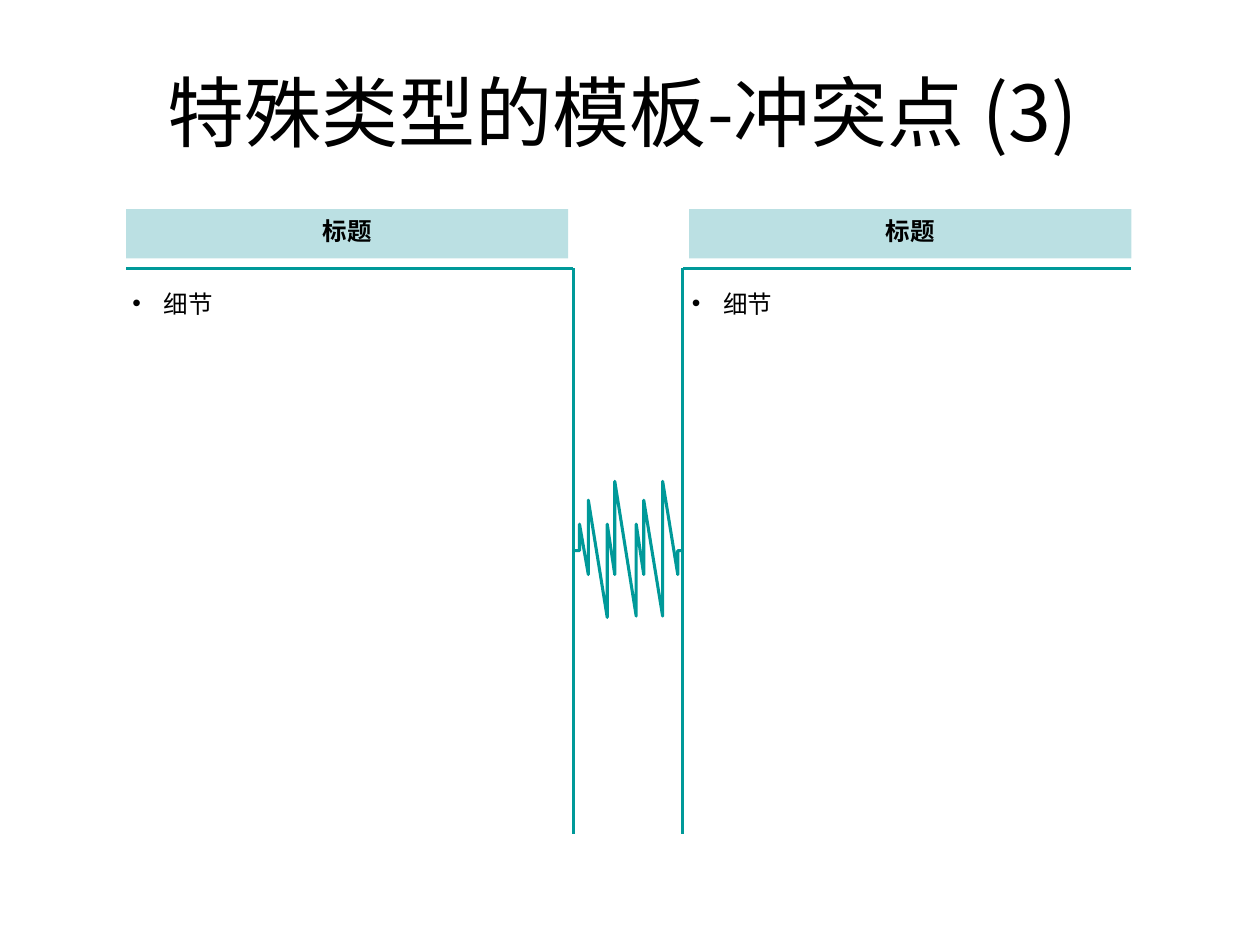
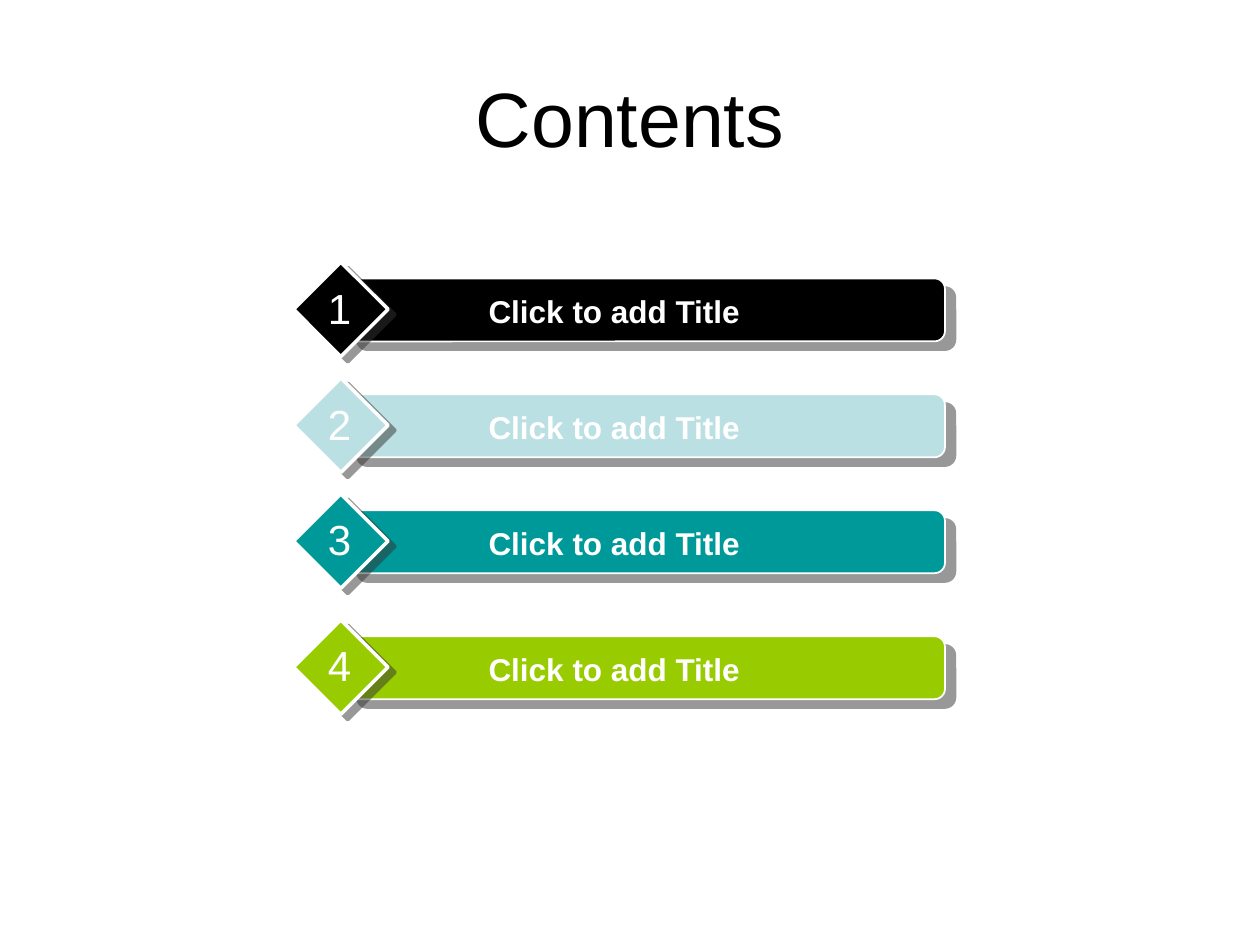
from dataclasses import dataclass

from lxml import etree
from pptx import Presentation
from pptx.dml.color import RGBColor
from pptx.enum.shapes import MSO_CONNECTOR as Connector, MSO_SHAPE as Preset
from pptx.enum.text import MSO_ANCHOR as Anchor, MSO_AUTO_SIZE as AutoSize, PP_ALIGN as Align
from pptx.oxml.ns import qn
from pptx.util import Inches, Pt


@dataclass(frozen=True)
class Theme:
    black: str = "000000"
    white: str = "FFFFFF"
    pale: str = "BBE0E3"
    teal: str = "009999"
    lime: str = "99CC00"
    shadow: str = "333333"
    sans: str = "Arial"
    serif: str = "Times New Roman"
    chinese: str = "Noto Sans CJK SC"
    title_size: int = 44
    number_size: int = 24
    label_size: int = 18
    body_size: int = 14
    rule_width: float = 1.75


THEME = Theme()


def place(*lengths):
    return [Inches(length) for length in lengths]


class SlideBuilder:
    """Holds the theme, the deck and the slide being filled."""

    def __init__(self, theme):
        self.theme = theme
        self.deck = Presentation()
        self.deck.slide_width, self.deck.slide_height = place(10, 7.5)
        self.page = self.target = None

    def start_page(self, title, at, font):
        self.page = self.deck.slides.add_slide(self.deck.slide_layouts[5])
        self.target = self.page.shapes
        box = self.page.shapes.title
        box.left, box.top, box.width, box.height = place(*at)
        self.label(box, title, self.theme.title_size, font=font,
                   frame={"vertical_anchor": Anchor.MIDDLE})

    def start_group(self):
        self.target = self.page.shapes.add_group_shape().shapes

    def end_group(self):
        self.target = self.page.shapes

    def label(self, box, text, size, color=None, font=None, bold=False,
              frame=None, para_format=None, bullet=False):
        text_frame = box.text_frame
        settings = {"word_wrap": True, "auto_size": AutoSize.NONE, **(frame or {})}
        for name, value in settings.items():
            setattr(text_frame, name, value)
        para = text_frame.paragraphs[0]
        for name, value in {"alignment": Align.CENTER, **(para_format or {})}.items():
            setattr(para, name, value)
        if bullet:
            self.add_bullet(para)
        span = para.add_run()
        span.text = text
        formats = {"size": Pt(size), "name": font or self.theme.sans, "bold": bold}
        for name, value in formats.items():
            setattr(span.font, name, value)
        span.font.color.rgb = RGBColor.from_string(color or self.theme.black)
        east_asian = etree.SubElement(span._r.get_or_add_rPr(), qn("a:ea"))
        east_asian.set("typeface", self.theme.chinese)

    def add_bullet(self, para):
        properties = para._p.get_or_add_pPr()
        properties.set("marL", str(Inches(0.25)))
        properties.set("indent", str(-Inches(0.25)))
        etree.SubElement(properties, qn("a:buFont")).set("typeface", self.theme.sans)
        etree.SubElement(properties, qn("a:buChar")).set("char", "•")

    def text(self, at, text, size, **formats):
        box = self.target.add_textbox(*place(*at))
        self.label(box, text, size, **formats)

    def shape(self, preset, at, fill, line_width=0, shadow=None):
        box = self.target.add_shape(preset, *place(*at))
        box.shadow.inherit = False
        box.fill.solid()
        box.fill.fore_color.rgb = RGBColor.from_string(fill)
        if line_width:
            self.stroke(box, self.theme.white, line_width)
        else:
            box.line.fill.background()
        if shadow:
            self.drop_shadow(box, *shadow)
        return box

    def stroke(self, item, color, width):
        item.line.color.rgb = RGBColor.from_string(color)
        item.line.width = Pt(width)

    def drop_shadow(self, box, distance, angle):
        effects = box._element.spPr.find(qn("a:effectLst"))
        outer = etree.SubElement(effects, qn("a:outerShdw"))
        values = {"blurRad": 0, "dist": Pt(distance), "dir": angle * 60000,
                  "algn": "ctr", "rotWithShape": 0}
        for name, value in values.items():
            outer.set(name, str(value))
        color = etree.SubElement(outer, qn("a:srgbClr"))
        color.set("val", self.theme.shadow)
        etree.SubElement(color, qn("a:alpha")).set("val", "50000")

    def rule(self, *ends):
        line = self.target.add_connector(Connector.STRAIGHT, *place(*ends))
        self.stroke(line, self.theme.teal, self.theme.rule_width)
        etree.SubElement(line._element.spPr, qn("a:effectLst"))

    def outline(self, points):
        start, *others = [place(*point) for point in points]
        builder = self.target.build_freeform(*start)
        builder.add_line_segments(others, close=False)
        jagged_line = builder.convert_to_shape()
        jagged_line.shadow.inherit = False
        jagged_line.fill.background()
        self.stroke(jagged_line, self.theme.teal, self.theme.rule_width)


def build_conflict(slides):
    theme = slides.theme
    slides.start_page("特殊类型的模板-冲突点 (3)", (0.63, 0.5, 8.62, 0.75), theme.chinese)
    top, bottom = 2.13, 6.62
    left_wall, right_wall = 4.55, 5.42

    # Walls with the jagged conflict line between them
    slides.start_group()
    for wall in (left_wall, right_wall):
        slides.rule(wall, top, wall, bottom)
    middle = 4.37
    # Each tooth rises straight up at x to its peak, then slopes to the next foot
    teeth = [(4.6, 4.16, 4.56), (4.67, 3.97, 4.9), (4.82, 4.16, 4.56), (4.88, 3.82, 4.89),
             (5.05, 4.16, 4.56), (5.11, 3.97, 4.89), (5.26, 3.82, 4.56)]
    feet = [x for x, _, _ in teeth[1:]] + [5.38]
    zigzag = [(4.56, middle), (teeth[0][0], middle)]
    for (x, peak, foot), next_x in zip(teeth, feet):
        zigzag += [(x, peak), (next_x, foot)]
    zigzag += [(feet[-1], middle), (right_wall, middle)]
    slides.outline(zigzag)
    slides.end_group()

    # One headed column on each side
    no_margins = {f"margin_{side}": 0 for side in ("left", "top", "right", "bottom")}
    columns = [(1, 1, left_wall, 1.05, 3.51), (5.47, right_wall, 8.98, 5.49, 3.48)]
    for header_left, rule_start, rule_end, detail_left, detail_width in columns:
        slides.rule(rule_start, top, rule_end, top)
        slides.text((detail_left, 2.29, detail_width, 0.23), "细节", theme.body_size,
                    font=theme.serif, bullet=True, frame=no_margins,
                    para_format={"alignment": Align.LEFT})
        header = slides.shape(Preset.RECTANGLE, (header_left, 1.66, 3.51, 0.39), theme.pale)
        slides.label(header, "标题", theme.body_size, bold=True,
                     frame={"word_wrap": False, "vertical_anchor": Anchor.MIDDLE},
                     para_format={"line_spacing": 0.8})


def build_contents(slides):
    theme = slides.theme
    slides.start_page("Contents", (0.5, 0.3, 9, 1.25), theme.sans)

    # Numbered bars
    entries = [(2.08, theme.black), (3, theme.pale), (3.92, theme.teal), (4.92, theme.lime)]
    for number, (top, color) in enumerate(entries, start=1):
        slides.start_group()
        bar = slides.shape(Preset.ROUNDED_RECTANGLE, (2.75, top + 0.13, 4.75, 0.5),
                           color, line_width=1, shadow=(7.8, 40))
        bar.adjustments[0] = 0.167
        slides.shape(Preset.DIAMOND, (2.33, top, 0.75, 0.75),
                     color, line_width=2, shadow=(5, 37))
        slides.text((3, top + 0.19, 3.75, 0.4), "Click to add Title", theme.label_size,
                    color=theme.white, bold=True)
        slides.text((2.5, top + 0.11, 0.39, 0.5), str(number), theme.number_size,
                    color=theme.white, frame={"word_wrap": False})
        slides.end_group()


def main():
    slides = SlideBuilder(THEME)
    build_conflict(slides)
    build_contents(slides)
    slides.deck.save("out.pptx")


if __name__ == "__main__":
    main()
